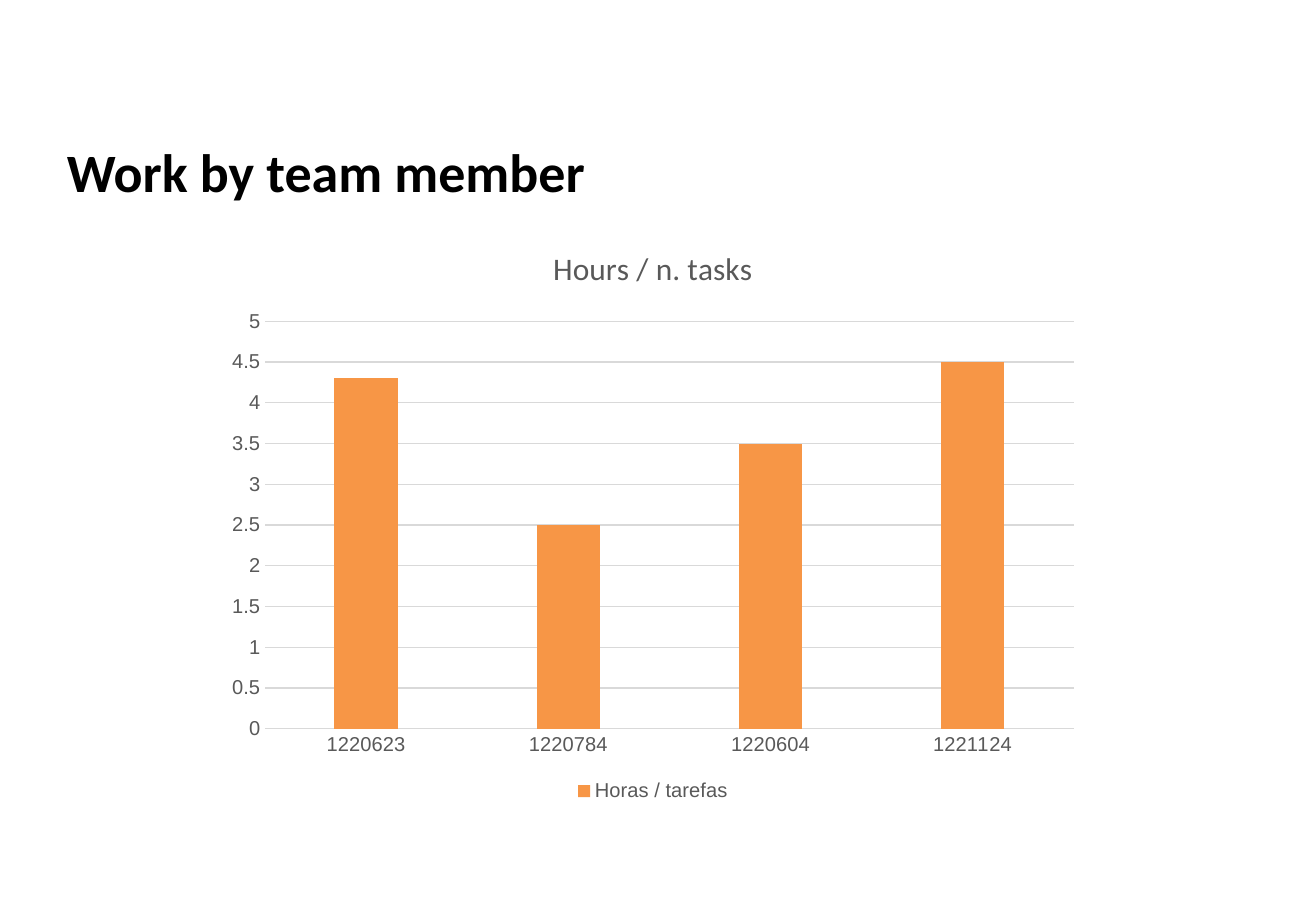
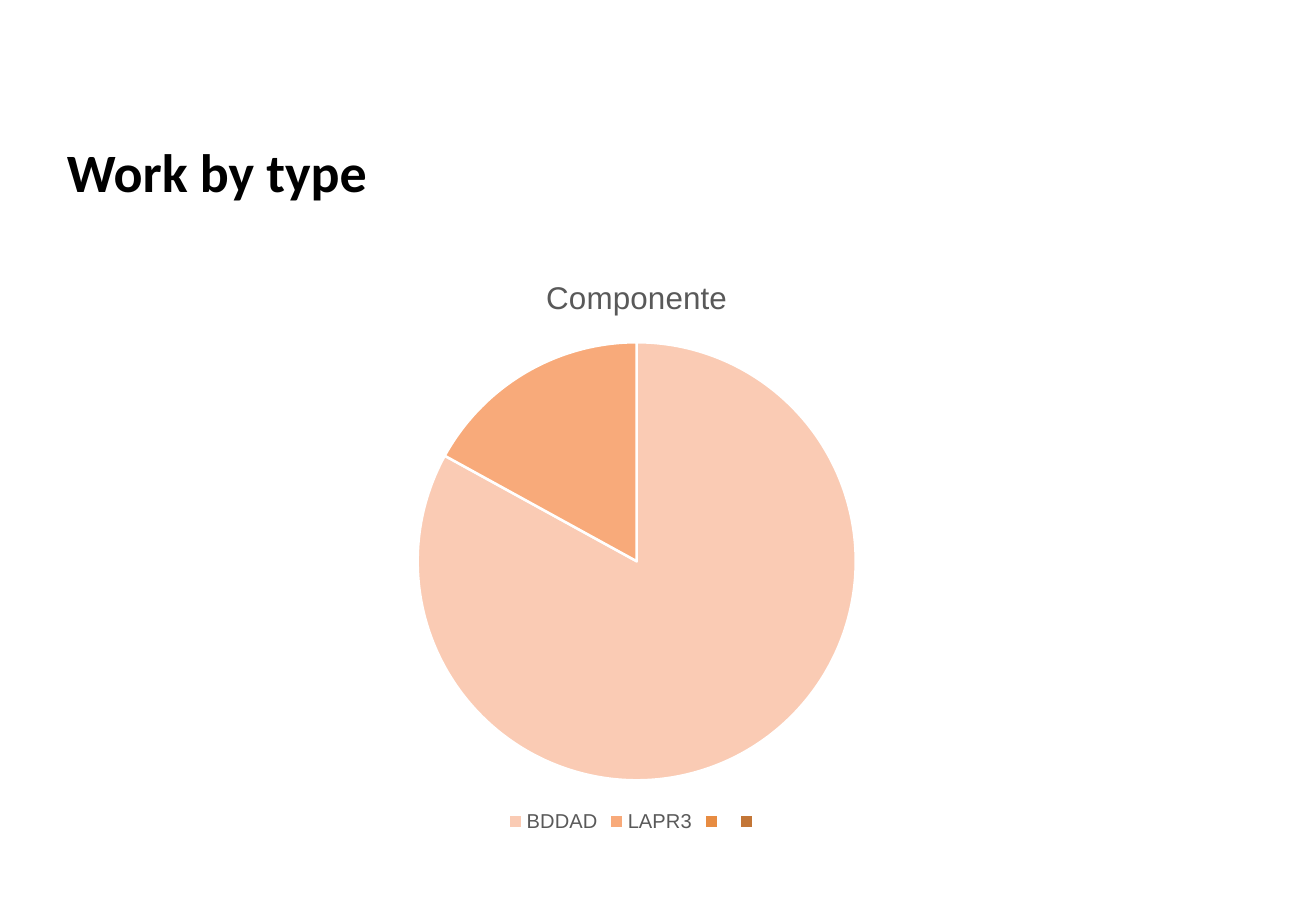
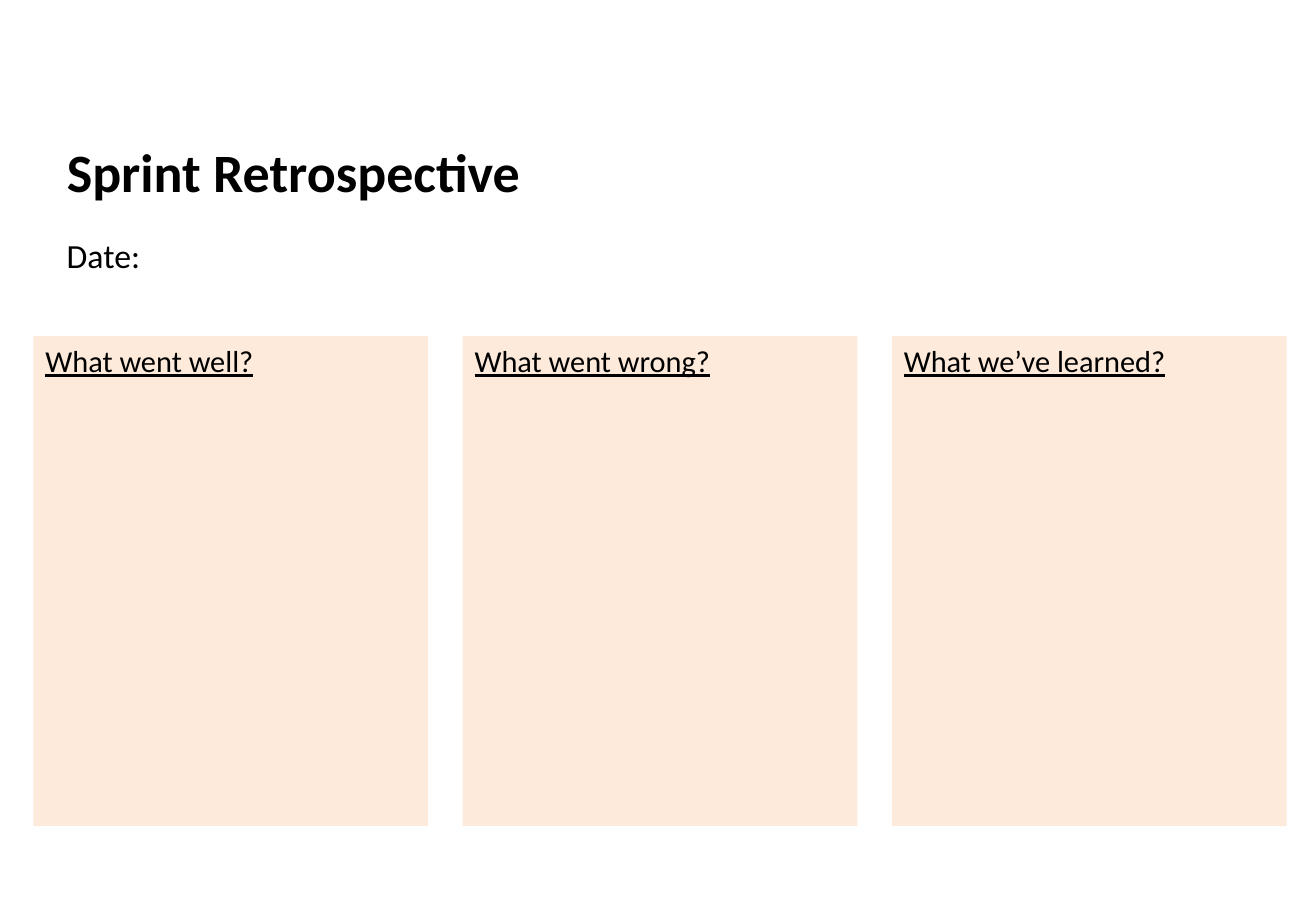
"""Build three sprint review slides: work by member, work by type and retrospective."""
import dataclasses

import pptx
import pptx.chart.data
import pptx.dml.color
import pptx.enum.chart
import pptx.enum.shapes
import pptx.enum.text
import pptx.util

PX = 7620


@dataclasses.dataclass(frozen=True)
class Theme:
    text: str = "000000"
    muted: str = "595959"
    grid: str = "D9D9D9"
    white: str = "FFFFFF"
    card: str = "FDEADA"
    bar: str = "F79646"
    slices: tuple = ("FACBB4", "F8AA7A", "E78C42", "C37637")
    body_font: str = "Calibri"
    chart_font: str = "Arial"
    title_size: float = 32
    date_size: float = 20
    card_size: float = 18
    chart_title_size: float = 18.6
    label_size: float = 11.9


theme = Theme()
rgb = pptx.dml.color.RGBColor.from_string


def set_font(font, name, size, color, bold=False):
    font.name = name
    font.size = pptx.util.Pt(size)
    font.color.rgb = rgb(color)
    font.bold = bold


def add_chart(s, kind, data, left, top, title, title_font):
    chart = s.shapes.add_chart(kind, left * PX, top * PX, 866 * PX, 577 * PX, data).chart
    set_font(chart.font, theme.chart_font, theme.label_size, theme.muted)
    chart.has_title = True
    tf = chart.chart_title.text_frame
    tf.text = title
    set_font(tf.paragraphs[0].runs[0].font, title_font, theme.chart_title_size, theme.muted)
    chart.chart_title.include_in_layout = False
    chart.has_legend = True
    chart.legend.position = pptx.enum.chart.XL_LEGEND_POSITION.BOTTOM
    chart.legend.include_in_layout = False
    set_font(chart.legend.font, theme.chart_font, theme.label_size, theme.muted)
    return chart


prs = pptx.Presentation()
prs.slide_width = 1300 * PX
prs.slide_height = 900 * PX

slides = []
for title in ("Work by team member", "Work by type", "Sprint Retrospective"):
    s = prs.slides.add_slide(prs.slide_layouts[5])
    sp = s.shapes.title
    sp.left, sp.top, sp.width, sp.height = 54 * PX, 131 * PX, 1187 * PX, 76 * PX
    tf = sp.text_frame
    tf.text = title
    tf.auto_size = pptx.enum.text.MSO_AUTO_SIZE.NONE
    tf.vertical_anchor = pptx.enum.text.MSO_ANCHOR.MIDDLE
    p = tf.paragraphs[0]
    p.alignment = pptx.enum.text.PP_ALIGN.LEFT
    set_font(p.runs[0].font, theme.body_font, theme.title_size, theme.text, bold=True)
    slides.append(s)
member_slide, type_slide, retro_slide = slides

data = pptx.chart.data.CategoryChartData()
data.categories = ["1220623", "1220784", "1220604", "1221124"]
data.add_series("Horas / tarefas", [4.3, 2.5, 3.5, 4.5])
chart = add_chart(member_slide, pptx.enum.chart.XL_CHART_TYPE.COLUMN_CLUSTERED, data,
                  212, 220, "Hours / n. tasks", theme.body_font)
plot = chart.plots[0]
plot.gap_width = 219
plot.overlap = -27
plot.vary_by_categories = False
plot.series[0].format.fill.solid()
plot.series[0].format.fill.fore_color.rgb = rgb(theme.bar)
for axis in (chart.category_axis, chart.value_axis):
    axis.major_tick_mark = pptx.enum.chart.XL_TICK_MARK.NONE
    axis.minor_tick_mark = pptx.enum.chart.XL_TICK_MARK.NONE
    set_font(axis.tick_labels.font, theme.chart_font, theme.label_size, theme.muted)
axis = chart.value_axis
axis.minimum_scale, axis.maximum_scale, axis.major_unit = 0, 5, 0.5
axis.format.line.fill.background()
for line in (chart.category_axis.format.line, axis.major_gridlines.format.line):
    line.color.rgb = rgb(theme.grid)
    line.width = pptx.util.Pt(0.75)

data = pptx.chart.data.CategoryChartData()
data.categories = ["BDDAD", "LAPR3", "", ""]
data.add_series("Componente", [83, 17, None, None])
chart = add_chart(type_slide, pptx.enum.chart.XL_CHART_TYPE.PIE, data,
                  196, 250, "Componente", theme.chart_font)
plot = chart.plots[0]
plot.vary_by_categories = True
for i, color in enumerate(theme.slices):
    fmt = plot.series[0].points[i].format
    fmt.fill.solid()
    fmt.fill.fore_color.rgb = rgb(color)
    fmt.line.color.rgb = rgb(theme.white)
    fmt.line.width = pptx.util.Pt(1.5)

sp = retro_slide.shapes.add_textbox(54 * PX, 226 * PX, 1187 * PX, 56 * PX)
tf = sp.text_frame
tf.word_wrap = True
tf.text = "Date:"
set_font(tf.paragraphs[0].runs[0].font, theme.body_font, theme.date_size, theme.text)

for i, question in enumerate(("What went well?", "What went wrong?", "What we’ve learned?")):
    sp = retro_slide.shapes.add_shape(pptx.enum.shapes.MSO_SHAPE.RECTANGLE,
                                      (33 + 424 * i) * PX, 332 * PX, 390 * PX, 484 * PX)
    sp.shadow.inherit = False
    sp.fill.solid()
    sp.fill.fore_color.rgb = rgb(theme.card)
    sp.line.fill.background()
    tf = sp.text_frame
    tf.word_wrap = True
    tf.vertical_anchor = pptx.enum.text.MSO_ANCHOR.TOP
    tf.text = question
    p = tf.paragraphs[0]
    p.alignment = pptx.enum.text.PP_ALIGN.LEFT
    r = p.runs[0]
    set_font(r.font, theme.body_font, theme.card_size, theme.text)
    r.font.underline = True

prs.save("out.pptx")
